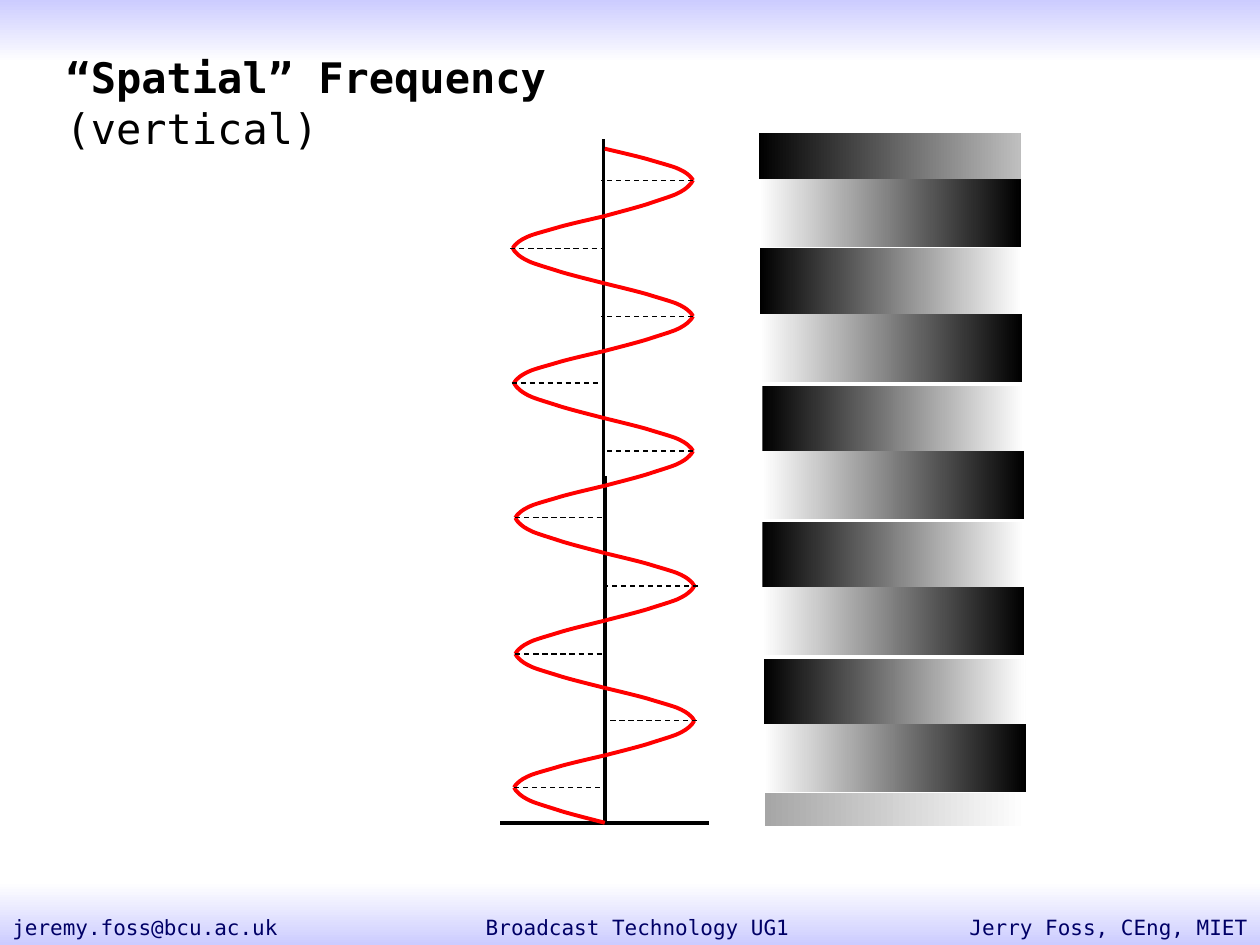
from lxml.etree import SubElement
from pptx import Presentation
from pptx.dml.color import RGBColor
from pptx.enum.dml import MSO_LINE_DASH_STYLE as Dash
from pptx.enum.shapes import MSO_CONNECTOR as Connector, MSO_SHAPE as Shape
from pptx.enum.text import MSO_ANCHOR as Anchor, MSO_AUTO_SIZE as AutoSize, PP_ALIGN as Align
from pptx.oxml.ns import qn
from pptx.util import Inches, Pt

BLACK = RGBColor(0x00, 0x00, 0x00)
WHITE = RGBColor(0xFF, 0xFF, 0xFF)
RED = RGBColor(0xFF, 0x00, 0x00)
LAVENDER = RGBColor(0xCC, 0xCC, 0xFF)
NAVY = RGBColor(0x00, 0x00, 0x66)
LIGHT_GREY = RGBColor(0xBF, 0xBF, 0xBF)
MID_GREY = RGBColor(0xA6, 0xA6, 0xA6)
FONT = "DejaVu Sans Mono"

# Content
TITLE = [("“Spatial” Frequency ", True), ("(vertical)", False)]
FOOTERS = [  # left, width, alignment, text
    (2.61, 4.8, Align.CENTER, " Broadcast Technology UG1"),
    (0, 3.17, Align.LEFT, "jeremy.foss@bcu.ac.uk"),
    (6.83, 3.17, Align.RIGHT, "Jerry Foss, CEng, MIET"),
]
EDGE_BANDS = [(0, LAVENDER, WHITE), (7, WHITE, LAVENDER)]  # top, upper and lower colour
AXES = [
    ((4.8, 6.54), (4.8, 3.78)),
    ((4.79, 3.87), (4.79, 1.1)),
    ((3.97, 6.53), (5.63, 6.53)),
]
CRESTS = [  # crest x, crest y, outer and inner end of its dashed line
    (5.5, 1.43, 5.5, 4.77), (4.07, 1.97, 4.05, 4.78),
    (5.5, 2.51, 5.5, 4.77), (4.08, 3.04, 4.06, 4.78),
    (5.5, 3.58, 5.5, 4.78), (4.09, 4.11, 4.09, 4.82),
    (5.51, 4.65, 5.54, 4.81), (4.09, 5.19, 4.09, 4.82),
    (5.51, 5.72, 5.53, 4.8), (4.08, 6.25, 4.08, 4.81),
]
AXIS_X, WAVE_TOP, HALF_CYCLE = 4.8, 1.18, 0.535
# A quarter cycle as Bezier points, in shares of its width and height
QUARTER = [
    (0, 0), (0.07, 0.05), (0.34, 0.22), (0.48, 0.33), (0.61, 0.44), (0.72, 0.52),
    (0.8, 0.6), (0.89, 0.7), (0.93, 0.78), (0.96, 0.86), (0.99, 0.93), (0.99, 0.97), (1, 1),
]
STRIPES = [  # left, top, height, left colour, right colour
    (6.02, 1.06, 0.37, BLACK, LIGHT_GREY),
    (6.02, 1.42, 0.54, WHITE, BLACK),
    (6.07, 6.29, 0.27, MID_GREY, WHITE),
]
STRIPE_PAIRS = [(6.03, 1.97), (6.05, 3.06), (6.05, 4.14), (6.06, 5.23)]
for left, top in STRIPE_PAIRS:
    STRIPES += [(left, top, 0.52, BLACK, WHITE), (left, top + 0.52, 0.54, WHITE, BLACK)]


def set_format(target, values):
    for name, value in values.items():
        setattr(target, name, value)


def add_line(shapes, start, end, line_format):
    line = shapes.add_connector(Connector.STRAIGHT, *map(Inches, start + end))
    line.line.color.rgb = BLACK
    set_format(line.line, line_format)
    SubElement(line._element.spPr, qn("a:effectLst"))


def add_gradient(shapes, box, first, last, angle):
    rect = shapes.add_shape(Shape.RECTANGLE, *map(Inches, box))
    rect.shadow.inherit = False
    rect.line.fill.background()
    rect.fill.gradient()
    rect.fill.gradient_angle = angle
    for stop, colour in zip(rect.fill.gradient_stops, (first, last)):
        stop.color.rgb = colour
    return rect


def add_quarter(shapes, crossing_y, crest_x, crest_y):
    points = [
        (Inches(AXIS_X + (crest_x - AXIS_X) * x), Inches(crossing_y + (crest_y - crossing_y) * y))
        for x, y in QUARTER
    ]
    builder = shapes.build_freeform(*points[0])
    builder.add_line_segments(points[1:], close=False)
    curve = builder.convert_to_shape()
    # Turn each three straight segments into one Bezier segment
    outline = curve._element.find(".//" + qn("a:path"))
    segments = outline.findall(qn("a:lnTo"))
    for i in range(0, len(segments), 3):
        bezier = SubElement(outline, qn("a:cubicBezTo"))
        for segment in segments[i:i + 3]:
            bezier.append(segment[0])
            outline.remove(segment)
    curve.shadow.inherit = False
    curve.fill.background()
    curve.line.color.rgb = RED
    curve.line.width = Pt(2.25)


def add_run(paragraph, text, font_format, colour):
    run = paragraph.add_run()
    run.text = text
    set_format(run.font, {"name": FONT, **font_format})
    run.font.color.rgb = colour


prs = Presentation()
prs.slide_width, prs.slide_height = Inches(10), Inches(7.5)
slide = prs.slides.add_slide(prs.slide_layouts[5])

# Edge bands and footers, moved to the slide master
master_parts = [
    add_gradient(slide.shapes, (0, top, 10, 0.5), upper, lower, 270)
    for top, upper, lower in EDGE_BANDS
]
for left, width, alignment, text in FOOTERS:
    footer = slide.shapes.add_textbox(*map(Inches, (left, 7.21, width, 0.29)))
    footer.text_frame.word_wrap = True
    paragraph = footer.text_frame.paragraphs[0]
    paragraph.alignment = alignment
    add_run(paragraph, text, {"size": Pt(12)}, NAVY)
    master_parts.append(footer)
for number, part in enumerate(master_parts, start=101):
    part._element.nvSpPr.cNvPr.set("id", str(number))
    prs.slide_master.shapes._spTree.append(part._element)

# Title
title = slide.shapes.title
set_format(title, dict(zip(("left", "top", "width", "height"),
                           map(Inches, (0.42, 0.36, 4.82, 0.5)))))
set_format(title.text_frame, {"word_wrap": True, "vertical_anchor": Anchor.TOP,
                              "auto_size": AutoSize.SHAPE_TO_FIT_TEXT})
title.text_frame.paragraphs[0].alignment = Align.LEFT
for text, bold in TITLE:
    add_run(title.text_frame.paragraphs[0], text, {"size": Pt(24), "bold": bold}, BLACK)

# Axes and wave
wave = slide.shapes.add_group_shape().shapes
for start, end in AXES:
    add_line(wave, start, end, {"width": Pt(2.25)})
for i, (crest_x, crest_y, outer_x, inner_x) in enumerate(CRESTS):
    for crossing in (i, i + 1):
        add_quarter(wave, WAVE_TOP + crossing * HALF_CYCLE, crest_x, crest_y)
    add_line(wave, (outer_x, crest_y), (inner_x, crest_y),
             {"width": Pt(0.75), "dash_style": Dash.DASH})

# Brightness stripes
stripes = slide.shapes.add_group_shape().shapes
for left, top, height, first, last in STRIPES:
    add_gradient(stripes, (left, top, 2.08, height), first, last, 0)

prs.save("out.pptx")
